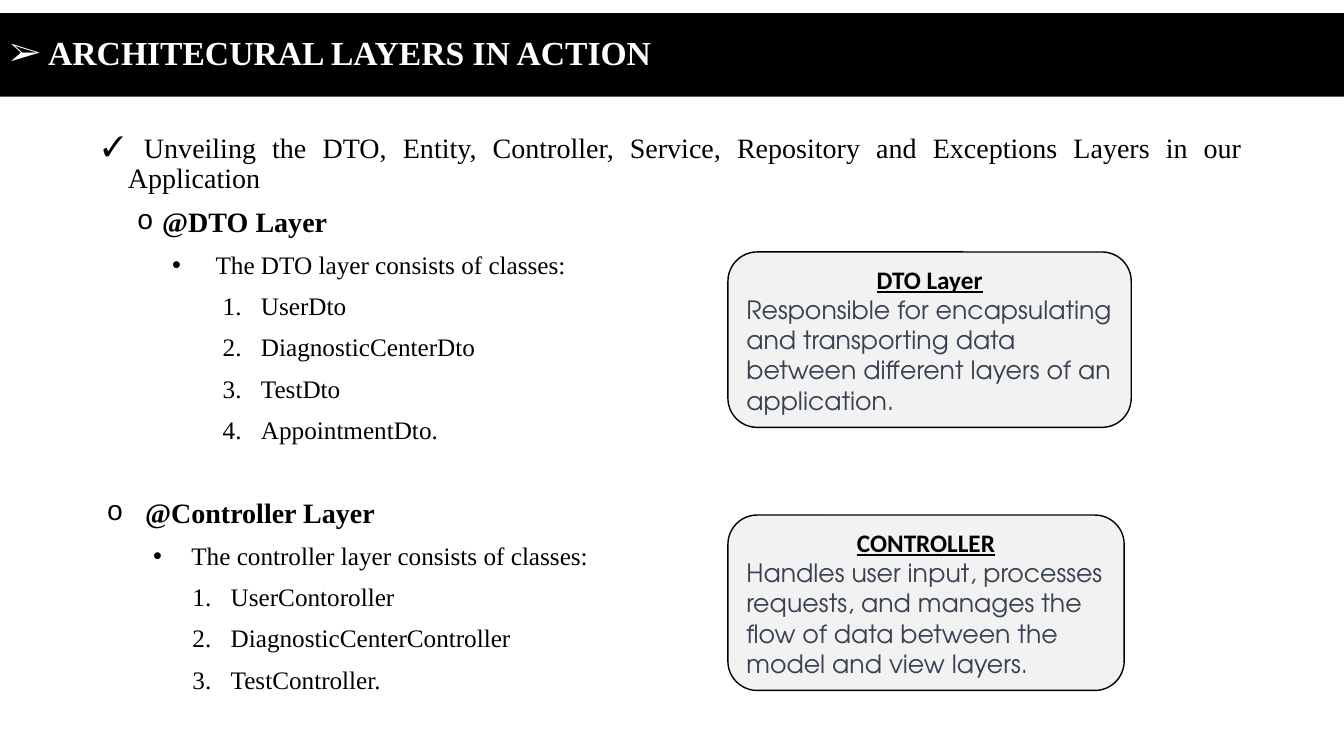
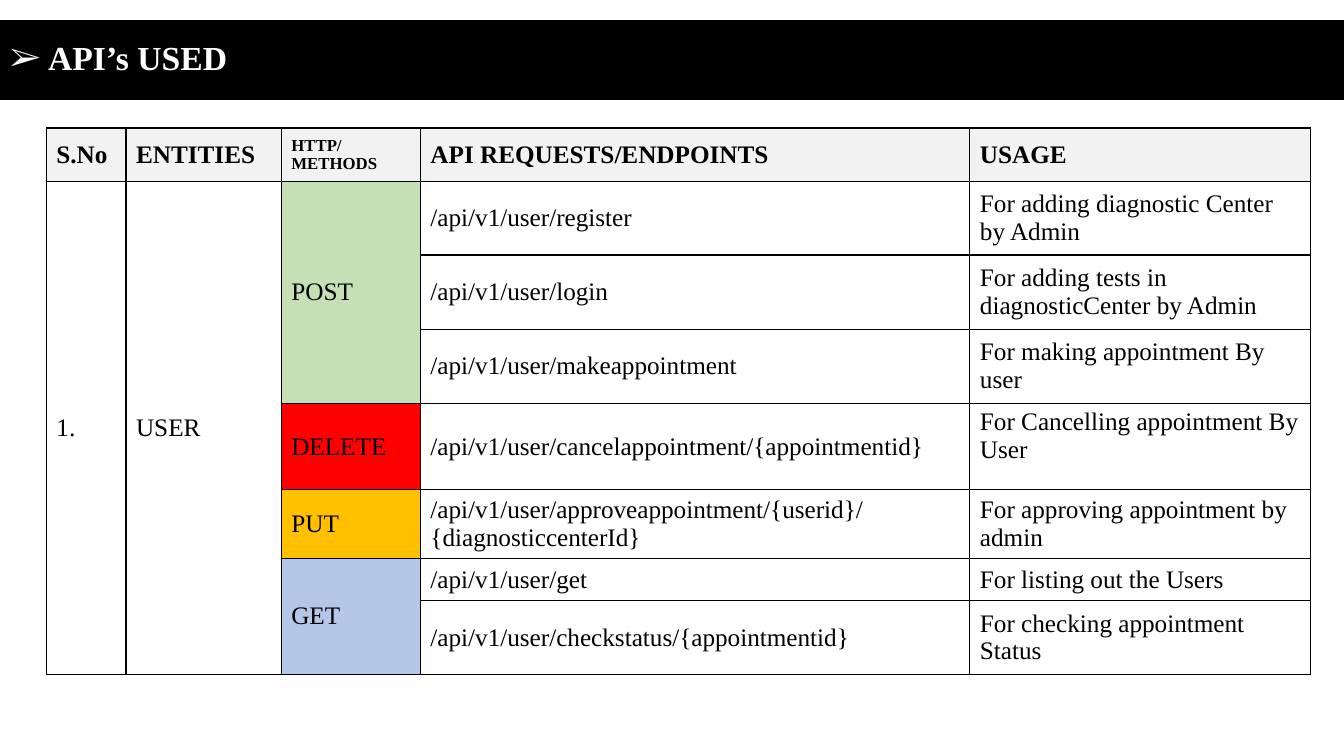
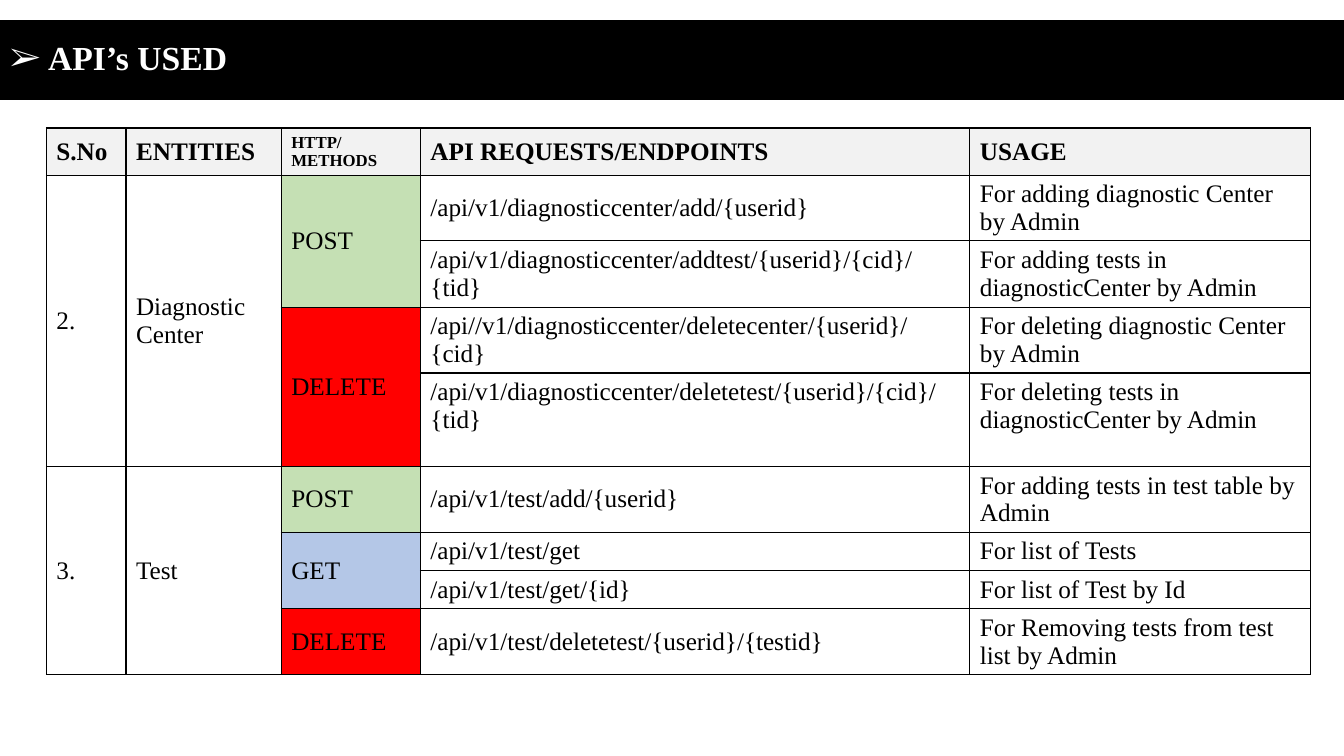
from dataclasses import dataclass
from typing import Optional

from lxml import etree
from pptx import Presentation
from pptx import util as u
from pptx.dml import color
from pptx.enum import shapes, text
from pptx.oxml import ns

PX = 9144  # EMU; 100 px to the inch
SLIDE_W, SLIDE_H = 1333, 750
SERIF, HEADING, ROUND = "Times New Roman", "Calibri", "TeX Gyre Adventor"
COLORS = {
    "ink": "000000", "paper": "FFFFFF", "panel": "F2F2F2", "slate": "374151",
    "POST": "C5E0B4", "DELETE": "FF0000", "PUT": "FFC000", "GET": "B4C7E7",
}
MIDDLE, TOP = text.MSO_ANCHOR.MIDDLE, text.MSO_ANCHOR.TOP


# What the slides are made of
@dataclass(frozen=True)
class Level:
    depth: int
    margin: int
    hang: int
    bullet: str  # "1." stands for automatic numbers
    size: int = 18
    bold: bool = False
    bullet_font: str = SERIF


@dataclass(frozen=True)
class Item:
    level: Level
    words: str
    before: int = 10


@dataclass(frozen=True)
class Callout:
    top: int
    width: int
    heading: str
    body: str


@dataclass(frozen=True)
class Endpoint:
    height: int
    url: str
    usage: str
    top_columns: tuple[int, ...] = ()


@dataclass(frozen=True)
class Method:
    verb: str
    endpoints: list[Endpoint]


@dataclass(frozen=True)
class Entity:
    number: str
    name: str
    methods: list[Method]


# Content
TITLE = Level(0, 38, 38, "➢", 24, True)
LEAD = Level(0, 25, 25, "✓", 20)
DTO_HEAD = Level(1, 59, 25, "o", 20, True, "Courier New")
DTO_NOTE = Level(2, 112, 43, "•", bullet_font="Arial")
DTO_CLASS = Level(3, 157, 38, "1.")
CONTROLLER_HEAD = Level(1, 42, 38, "o", 20, True, "Courier New")
CONTROLLER_NOTE = Level(2, 88, 38, "•", bullet_font="Arial")
CONTROLLER_CLASS = Level(3, 127, 38, "1.")

LAYERS = [
    Item(LEAD, " Unveiling the DTO, Entity, Controller, Service, Repository "
               "and Exceptions Layers in our Application", 0),
    Item(DTO_HEAD, "@DTO Layer"),
    Item(DTO_NOTE, "The DTO layer consists of classes:"),
    *(Item(DTO_CLASS, name) for name in
      ("UserDto", "DiagnosticCenterDto", "TestDto", "AppointmentDto.")),
    Item(CONTROLLER_HEAD, "@Controller Layer", 39),
    Item(CONTROLLER_NOTE, "The controller layer consists of classes:"),
    *(Item(CONTROLLER_CLASS, name) for name in
      ("UserContoroller", "DiagnosticCenterController", "TestController.")),
]
CALLOUTS = [
    Callout(511, 393, "CONTROLLER",
            "Handles user input, processes requests, and manages the flow of "
            "data between the model and view layers."),
    Callout(250, 400, "DTO Layer",
            "Responsible for encapsulating and transporting data between "
            "different layers of an application."),
]

HEADERS = ["S.No", "ENTITIES", "HTTP/METHODS", "API REQUESTS/ENDPOINTS", "USAGE"]
COLUMNS = [79, 154, 138, 545, 338]
USER_API = [
    Entity("1.", "USER", [
        Method("POST", [
            Endpoint(73, "/api/v1/user/register", "For adding diagnostic Center by Admin"),
            Endpoint(74, "/api/v1/user/login",
                     "For adding tests in diagnosticCenter by Admin"),
            Endpoint(73, "/api/v1/user/makeappointment", "For making appointment By user"),
        ]),
        Method("DELETE", [
            Endpoint(86, "/api/v1/user/cancelappointment/{appointmentid}",
                     "For Cancelling appointment By User", (4,)),
        ]),
        Method("PUT", [
            Endpoint(68, "/api/v1/user/approveappointment/{userid}/{diagnosticcenterId}",
                     "For approving appointment by admin"),
        ]),
        Method("GET", [
            Endpoint(42, "/api/v1/user/get", "For listing out the Users"),
            Endpoint(73, "/api/v1/user/checkstatus/{appointmentid}",
                     "For checking appointment Status"),
        ]),
    ]),
]
CENTER_API = [
    Entity("2.", "Diagnostic Center", [
        Method("POST", [
            Endpoint(65, "/api/v1/diagnosticcenter/add/{userid}",
                     "For adding diagnostic Center by Admin"),
            Endpoint(66, "/api/v1/diagnosticcenter/addtest/{userid}/{cid}/{tid}",
                     "For adding tests in diagnosticCenter by Admin"),
        ]),
        Method("DELETE", [
            Endpoint(65, "/api//v1/diagnosticcenter/deletecenter/{userid}/{cid}",
                     "For deleting diagnostic Center by Admin"),
            Endpoint(93, "/api/v1/diagnosticcenter/deletetest/{userid}/{cid}/{tid}",
                     "For deleting tests in diagnosticCenter by Admin", (3, 4)),
        ]),
    ]),
    Entity("3.", "Test", [
        Method("POST", [
            Endpoint(65, "/api/v1/test/add/{userid}",
                     "For adding tests in test table by Admin"),
        ]),
        Method("GET", [
            Endpoint(38, "/api/v1/test/get", "For list of Tests"),
            Endpoint(38, "/api/v1/test/get/{id}", "For list of Test by Id"),
        ]),
        Method("DELETE", [
            Endpoint(65, "/api/v1/test/deletetest/{userid}/{testid}",
                     "For Removing tests from test list by Admin"),
        ]),
    ]),
]


# Drawing helpers
def px(*lengths: int) -> list[u.Emu]:
    return [u.Emu(length * PX) for length in lengths]


def rgb(key: str) -> color.RGBColor:
    return color.RGBColor.from_string(COLORS[key])


def paint(target, key: str) -> None:
    target.fill.solid()
    target.fill.fore_color.rgb = rgb(key)


def write(paragraph, words: str, *, size: int = 18, font: str = SERIF,
          ink: str = "ink", bold: bool = False, underline: bool = False,
          align=text.PP_ALIGN.LEFT) -> None:
    paragraph.alignment = align
    run = paragraph.add_run()
    run.text = words
    run.font.size = u.Pt(size)
    run.font.name = font
    run.font.bold = bold
    run.font.underline = underline
    run.font.color.rgb = rgb(ink)


def write_item(paragraph, item: Item, **style) -> None:
    level = item.level
    paragraph.level = level.depth
    paragraph.line_spacing = 0.9
    paragraph.space_before = u.Pt(item.before)
    props = paragraph._p.get_or_add_pPr()
    props.set("marL", str(level.margin * PX))
    props.set("indent", str(-level.hang * PX))
    etree.SubElement(props, ns.qn("a:buFont"), typeface=level.bullet_font)
    if level.bullet == "1.":
        etree.SubElement(props, ns.qn("a:buAutoNum"), type="arabicPeriod")
    else:
        etree.SubElement(props, ns.qn("a:buChar"), char=level.bullet)
    write(paragraph, item.words, size=level.size, bold=level.bold, **style)


def add_panel(slide, kind, left: int, top: int, width: int, height: int, fill: str):
    panel = slide.shapes.add_shape(kind, *px(left, top, width, height))
    panel.shadow.inherit = False
    paint(panel, fill)
    panel.line.fill.background()
    panel.text_frame.word_wrap = True
    panel.text_frame.vertical_anchor = MIDDLE
    return panel


def add_titled_slide(deck, title: str, top: int, height: int):
    slide = deck.slides.add_slide(deck.slide_layouts[6])
    band = add_panel(slide, shapes.MSO_SHAPE.RECTANGLE, 0, top, SLIDE_W, height, "ink")
    write_item(band.text_frame.paragraphs[0], Item(TITLE, title, 0), ink="paper")
    return slide


def add_outline(slide, items: list[Item]) -> None:
    frame = slide.shapes.add_textbox(*px(92, 128, 1150, 580)).text_frame
    frame.word_wrap = True
    for index, item in enumerate(items):
        paragraph = frame.add_paragraph() if index else frame.paragraphs[0]
        write_item(paragraph, item, align=text.PP_ALIGN.JUSTIFY)


def add_callout(slide, callout: Callout) -> None:
    panel = add_panel(slide, shapes.MSO_SHAPE.ROUNDED_RECTANGLE,
                      722, callout.top, callout.width, 174, "panel")
    panel.line.color.rgb = rgb("ink")
    panel.line.width = u.Pt(1)
    frame = panel.text_frame
    write(frame.paragraphs[0], callout.heading, font=HEADING, bold=True,
          underline=True, align=text.PP_ALIGN.CENTER)
    write(frame.add_paragraph(), callout.body, font=ROUND, ink="slate")


def add_borders(cell) -> None:
    props = cell._tc.get_or_add_tcPr()
    for side in ("lnL", "lnR", "lnT", "lnB"):
        line = etree.SubElement(props, ns.qn(f"a:{side}"), w=str(u.Pt(1)))
        fill = etree.SubElement(line, ns.qn("a:solidFill"))
        etree.SubElement(fill, ns.qn("a:srgbClr"), val=COLORS["ink"])


def fill_cell(cell, words: str, *, fill: Optional[str] = None, anchor=MIDDLE,
              **style) -> None:
    cell.vertical_anchor = anchor
    cell.margin_top, cell.margin_bottom = px(5, 0) if anchor == TOP else px(2, 2)
    if fill:
        paint(cell, fill)
    write(cell.text_frame.paragraphs[0], words, **style)


def add_api_table(slide, entities: list[Entity], header_height: int) -> None:
    endpoints = [e for entity in entities for m in entity.methods for e in m.endpoints]
    heights = [header_height, *(e.height for e in endpoints)]
    table = slide.shapes.add_table(
        len(heights), len(COLUMNS), *px(46, 127, sum(COLUMNS), sum(heights))).table
    table.first_row = table.horz_banding = False
    for column, width in zip(table.columns, px(*COLUMNS)):
        column.width = width
    for table_row, height in zip(table.rows, px(*heights)):
        table_row.height = height
    for cell in table.iter_cells():
        add_borders(cell)
        cell.fill.background()

    def span(first: int, last: int, column: int, words: str,
             fill: Optional[str] = None) -> None:
        cell = table.cell(first, column)
        if last > first:
            cell.merge(table.cell(last, column))
        fill_cell(cell, words, fill=fill)

    for column, header in enumerate(HEADERS):
        fill_cell(table.cell(0, column), header, fill="panel", bold=True,
                  size=12 if column == 2 else 18)
    row = 1
    for entity in entities:
        entity_row = row
        for method in entity.methods:
            method_row = row
            for endpoint in method.endpoints:
                for column, words in ((3, endpoint.url), (4, endpoint.usage)):
                    fill_cell(table.cell(row, column), words,
                              anchor=TOP if column in endpoint.top_columns else MIDDLE)
                row += 1
            span(method_row, row - 1, 2, method.verb, method.verb)
        span(entity_row, row - 1, 0, entity.number)
        span(entity_row, row - 1, 1, entity.name)


def main() -> None:
    deck = Presentation()
    deck.slide_width, deck.slide_height = px(SLIDE_W, SLIDE_H)

    # Layers
    layers = add_titled_slide(deck, "ARCHITECURAL LAYERS IN ACTION", 13, 83)
    add_outline(layers, LAYERS)
    for callout in CALLOUTS:
        add_callout(layers, callout)

    # Endpoint tables
    for entities, header_height in ((USER_API, 53), (CENTER_API, 47)):
        slide = add_titled_slide(deck, "API’s USED", 20, 79)
        add_api_table(slide, entities, header_height)

    deck.save("out.pptx")


if __name__ == "__main__":
    main()
